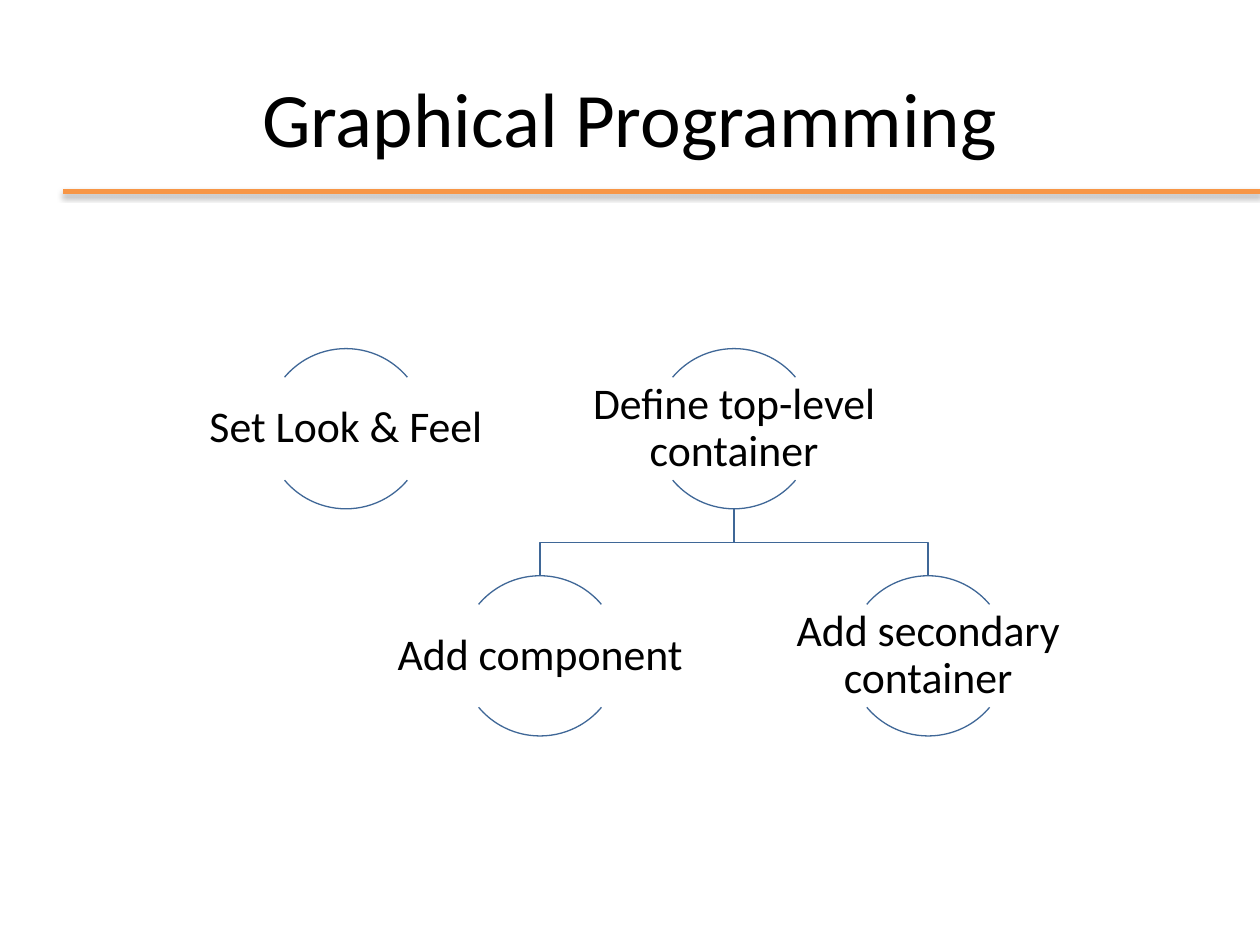
from lxml import etree
from pptx import Presentation
from pptx.dml.color import RGBColor
from pptx.enum import shapes, text
from pptx.oxml import ns
from pptx.util import Pt

TITLE = "Graphical Programming"
# key: (label, column, row, parent key)
STEPS = {
    "look": ("Set Look & Feel", 0, 0, None),
    "top": ("Define top-level container", 2, 0, None),
    "component": ("Add component", 1, 1, "top"),
    "secondary": ("Add secondary container", 3, 1, "top"),
}

FONT = "Calibri"
BLACK = RGBColor(0x00, 0x00, 0x00)
BLUE = RGBColor(0x3F, 0x67, 0x97)
ORANGE = RGBColor(0xF7, 0x96, 0x46)

SLIDE_W, SLIDE_H = 720, 540
FIRST_X, FIRST_Y = 197.7, 245
COLUMN_STEP, ROW_STEP = 110.9, 129.8
DIAMETER = 91.6
LABEL_W, LABEL_H = 183, 58.6
ARCS = [(220, 320), (40, 140)]  # start and end in degrees
RULE_Y = 109.4


def centre(key):
    _, column, row, _ = STEPS[key]
    return FIRST_X + column * COLUMN_STEP, FIRST_Y + row * ROW_STEP


def style_text(frame, size):
    frame.vertical_anchor = text.MSO_ANCHOR.MIDDLE
    paragraph = frame.paragraphs[0]
    paragraph.alignment = text.PP_ALIGN.CENTER
    font = paragraph.runs[0].font
    font.name, font.size, font.color.rgb = FONT, Pt(size), BLACK
    return paragraph


def style_outline(shape):
    shape.shadow.inherit = False
    shape.fill.background()
    shape.line.color.rgb = BLUE
    shape.line.width = Pt(0.75)


def add_title(slide):
    title = slide.shapes.title
    title.left, title.top, title.width, title.height = Pt(36), Pt(21.6), Pt(648), Pt(90)
    title.text_frame.text = TITLE
    style_text(title.text_frame, 44)


def add_rule(slide):
    """Orange line with a soft shadow, behind everything else."""
    rule = slide.shapes.add_connector(
        shapes.MSO_CONNECTOR.STRAIGHT, Pt(36), Pt(RULE_Y), Pt(SLIDE_W), Pt(RULE_Y))
    rule.line.color.rgb = ORANGE
    rule.line.width = Pt(3)
    effects = etree.SubElement(rule._element.spPr, ns.qn("a:effectLst"))
    shadow = etree.SubElement(effects, ns.qn("a:outerShdw"), blurRad=str(Pt(3.1)),
                              dist=str(Pt(1.8)), dir="5400000", rotWithShape="0")
    colour = etree.SubElement(shadow, ns.qn("a:srgbClr"), val="000000")
    etree.SubElement(colour, ns.qn("a:alpha"), val="35000")
    slide.shapes._spTree.insert(2, rule._element)


def add_link(slide, parent, child):
    (x1, y1), (x2, y2) = centre(parent), centre(child)
    start, end = y1 + DIAMETER / 2, y2 - DIAMETER / 2
    middle = (start + end) / 2
    builder = slide.shapes.build_freeform(Pt(x1), Pt(start))
    bends = [(x1, middle), (x2, middle), (x2, end)]
    builder.add_line_segments([(Pt(x), Pt(y)) for x, y in bends], close=False)
    style_outline(builder.convert_to_shape())


def add_step(slide, key):
    x, y = centre(key)
    for angles in ARCS:
        arc = slide.shapes.add_shape(
            shapes.MSO_SHAPE.ARC, Pt(x - DIAMETER / 2), Pt(y - DIAMETER / 2),
            Pt(DIAMETER), Pt(DIAMETER))
        for i, angle in enumerate(angles):
            arc.adjustments[i] = angle * 0.6  # 60000ths of a degree / 100000
        style_outline(arc)
    label = slide.shapes.add_textbox(
        Pt(x - LABEL_W / 2), Pt(y - LABEL_H / 2), Pt(LABEL_W), Pt(LABEL_H))
    frame = label.text_frame
    frame.word_wrap = True
    frame.margin_left = frame.margin_right = Pt(1.25)
    frame.margin_top = frame.margin_bottom = Pt(1.25)
    frame.text = STEPS[key][0]
    style_text(frame, 25).line_spacing = 0.9


def main():
    deck = Presentation()
    deck.slide_width, deck.slide_height = Pt(SLIDE_W), Pt(SLIDE_H)
    slide = deck.slides.add_slide(deck.slide_layouts[5])
    add_title(slide)
    add_rule(slide)
    for key, (_, _, _, parent) in STEPS.items():
        if parent:
            add_link(slide, parent, key)
    for key in STEPS:
        add_step(slide, key)
    deck.save("out.pptx")


if __name__ == "__main__":
    main()
